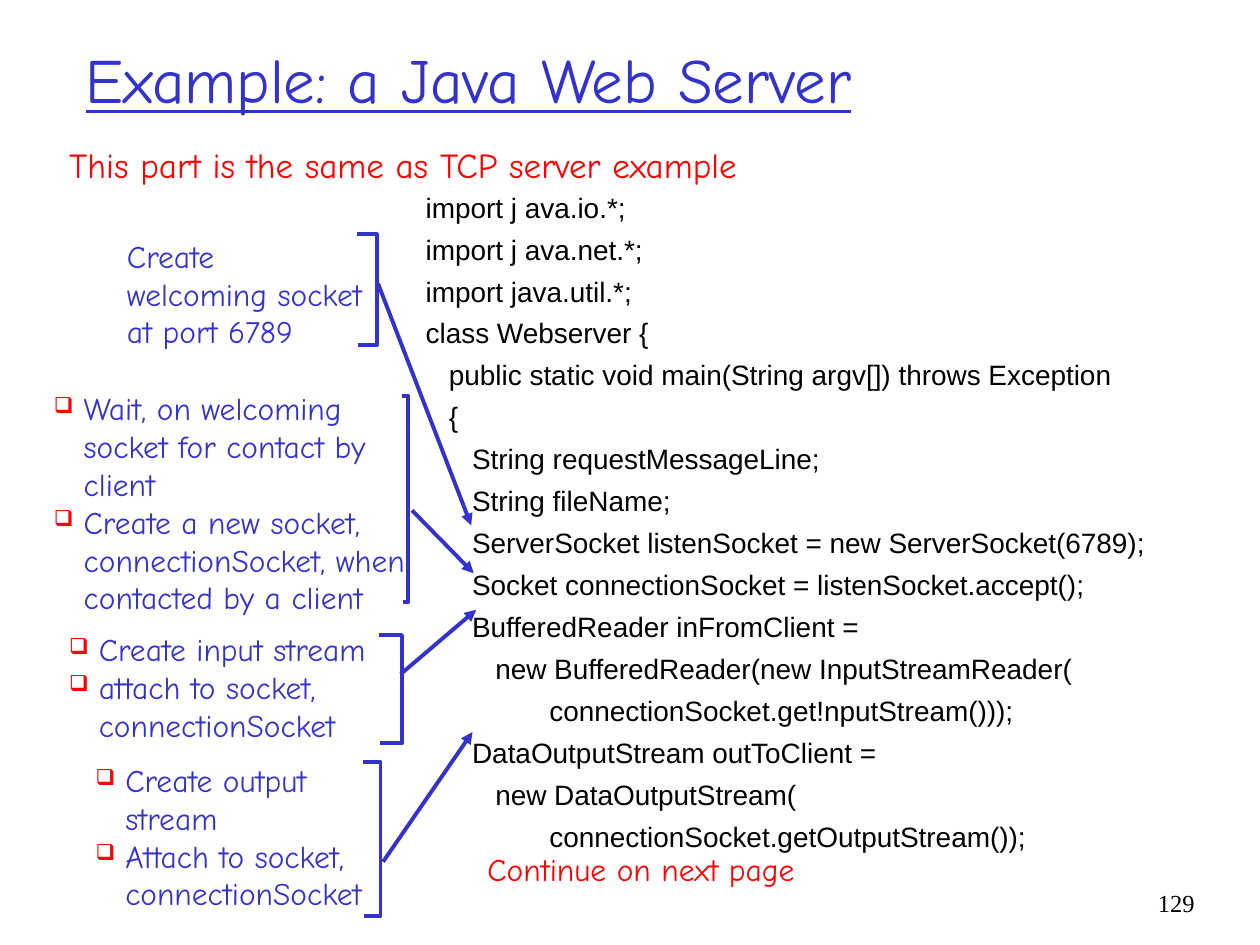
from lxml import etree
from pptx import Presentation
from pptx.dml.color import RGBColor
from pptx.enum import shapes, text
from pptx.oxml.ns import qn
from pptx.util import Emu, Pt

COLORS = {"blue": "3333CC", "red": "FF0000", "black": "000000"}
HAND = "Comic Neue"

deck = Presentation()
deck.slide_width, deck.slide_height = Emu(9144000), Emu(6858000)
col, row = deck.slide_width / 100, deck.slide_height / 75
page = deck.slides.add_slide(deck.slide_layouts[5])


def write(box, area, lines, size, color, font=HAND, anchor="TOP", wrap=True,
          align="LEFT", gap=0, bullet=False, underline=None):
    left, top, width, height = area
    box.left, box.top = Emu(round(left * col)), Emu(round(top * row))
    box.width, box.height = Emu(round(width * col)), Emu(round(height * row))
    frame = box.text_frame
    frame.word_wrap = wrap
    frame.auto_size = text.MSO_AUTO_SIZE.NONE
    frame.vertical_anchor = text.MSO_ANCHOR[anchor]
    for index, line in enumerate(lines):
        para = frame.add_paragraph() if index else frame.paragraphs[0]
        para.alignment = text.PP_ALIGN[align]
        para.space_before = Pt(gap if index else 0)
        if bullet:
            indent = round(2.36 * col)
            props = para._p.get_or_add_pPr()
            props.set("marL", str(indent))
            props.set("indent", str(-indent))
            tint = etree.SubElement(props, qn("a:buClr"))
            etree.SubElement(tint, qn("a:srgbClr"), val=COLORS["red"])
            etree.SubElement(props, qn("a:buSzPct"), val="70000")
            etree.SubElement(props, qn("a:buChar"), char="❑")
        span = para.add_run()
        span.text = line
        span.font.size = Pt(size)
        span.font.name = font
        span.font.underline = underline
        span.font.color.rgb = RGBColor.from_string(COLORS[color])


def draw_line(shape):
    shape.line.color.rgb = RGBColor.from_string(COLORS["blue"])
    shape.line.width = Pt(2.25)


write(page.shapes.title, (5.8, 0, 85, 12.5), ["Example: a Java Web Server"],
      36, "blue", anchor="MIDDLE", underline=True)

code = [
    "import j ava.io.*;",
    "import j ava.net.*;",
    "import java.util.*;",
    "class Webserver {",
    "   public static void main(String argv[]) throws Exception",
    "   {",
    "      String requestMessageLine;",
    "      String fileName;",
    "      ServerSocket listenSocket = new ServerSocket(6789);",
    "      Socket connectionSocket = listenSocket.accept();",
    "      BufferedReader inFromClient =",
    "         new BufferedReader(new InputStreamReader(",
    "                connectionSocket.get!nputStream()));",
    "      DataOutputStream outToClient =",
    "         new DataOutputStream(",
    "                connectionSocket.getOutputStream());",
]
write(page.shapes.add_textbox(0, 0, 0, 0), (32.8, 14.6, 59.1, 52), code,
      16, "black", font="Arial", wrap=False, gap=4.8)

write(page.shapes.add_textbox(0, 0, 0, 0), (9.1, 18.3, 20.7, 10),
      ["Create", "welcoming socket", "at port 6789"],
      18, "blue", anchor="MIDDLE", wrap=False)

bullet_notes = [
    ((3.3, 30.4, 29.9, 19),
     ["Wait, on welcoming socket for contact by client",
      "Create a new socket, connectionSocket, when contacted by a client"]),
    ((4.5, 49.5, 28, 10),
     ["Create input stream", "attach to socket, connectionSocket"]),
    ((6.6, 59.9, 25.1, 13),
     ["Create output stream", "Attach to socket, connectionSocket"]),
]
for area, lines in bullet_notes:
    write(page.shapes.add_textbox(0, 0, 0, 0), area, lines, 18, "blue",
          anchor="MIDDLE", bullet=True)

brackets = [(28.3, 18.6, 29.9, 27.4), (31.9, 31.4, 32.4, 47.8),
            (30.1, 50.4, 31.9, 59), (28.8, 60.5, 30.2, 72.7)]
for left, top, right, bottom in brackets:
    builder = page.shapes.build_freeform(round(left * col), round(top * row))
    corners = [(right, top), (right, bottom), (left + 0.1, bottom)]
    builder.add_line_segments(
        [(round(x * col), round(y * row)) for x, y in corners], close=False)
    bracket = builder.convert_to_shape()
    bracket.shadow.inherit = False
    bracket.fill.background()
    draw_line(bracket)

arrows = [(30, 22.5, 37.4, 41.7), (32.7, 40.5, 37.6, 45.5),
          (31.8, 53.5, 37.8, 48.4), (30.4, 68.4, 37.5, 58.1)]
for x1, y1, x2, y2 in arrows:
    arrow = page.shapes.add_connector(
        shapes.MSO_CONNECTOR.STRAIGHT, round(x1 * col), round(y1 * row),
        round(x2 * col), round(y2 * row))
    draw_line(arrow)
    etree.SubElement(arrow.line._get_or_add_ln(), qn("a:tailEnd"), type="triangle")
    etree.SubElement(arrow._element.spPr, qn("a:effectLst"))

write(page.shapes.add_textbox(0, 0, 0, 0), (4.5, 10.9, 55.3, 4.4),
      ["This part is the same as TCP server example"], 20, "red", wrap=False)
write(page.shapes.add_textbox(0, 0, 0, 0), (37.7, 67, 26.4, 4),
      ["Continue on next page"], 18, "red", wrap=False)
write(page.shapes.add_textbox(0, 0, 0, 0), (90.8, 70, 5, 5), ["129"],
      14, "black", font="Times New Roman", align="RIGHT")

deck.save("out.pptx")
